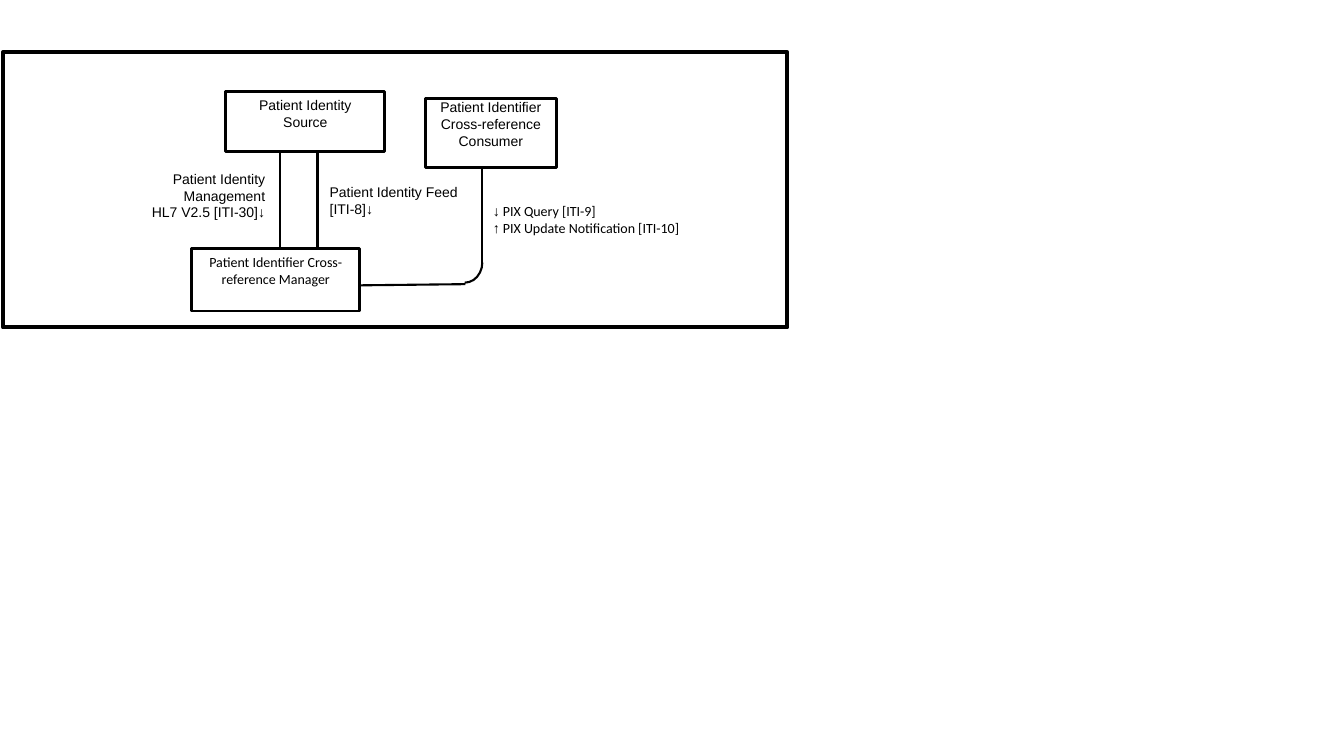
from dataclasses import dataclass
from itertools import groupby

from lxml.etree import SubElement
from pptx import Presentation
from pptx.dml.color import RGBColor
from pptx.enum.shapes import MSO_CONNECTOR, MSO_SHAPE
from pptx.enum.text import MSO_ANCHOR, PP_ALIGN
from pptx.oxml.ns import qn
from pptx.util import Cm, Pt


@dataclass(frozen=True)
class Theme:
    ink: RGBColor = RGBColor(0, 0, 0)
    paper: RGBColor = RGBColor(255, 255, 255)
    sans: str = "Arial"
    body: str = "Calibri"
    arrows: str = "Times New Roman"
    text_size: float = 10
    frame_line: float = 3
    actor_line: float = 2
    link_line: float = 1.5


THEME = Theme()


def write_text(frame, text, *, font=THEME.sans, align=PP_ALIGN.LEFT, inset=None):
    """Fill a text frame, one paragraph a line; arrows take their own font."""
    frame.word_wrap = True
    frame.vertical_anchor = MSO_ANCHOR.TOP
    if inset is not None:
        frame.margin_left = frame.margin_right = Cm(inset)
        frame.margin_top = frame.margin_bottom = Cm(inset)
    for index, line in enumerate(text.split("\n")):
        paragraph = frame.add_paragraph() if index else frame.paragraphs[0]
        paragraph.alignment = align
        for is_arrow, letters in groupby(line, key=lambda letter: letter in "↓↑"):
            run = paragraph.add_run()
            run.text = "".join(letters)
            run.font.name = THEME.arrows if is_arrow else font
            run.font.size = Pt(THEME.text_size)
            run.font.color.rgb = THEME.ink


class ActorDiagram:
    def __init__(self, slide, theme):
        self.shapes = slide.shapes
        self.theme = theme

    def outline(self, preset, box, weight, filled=False):
        shape = self.shapes.add_shape(preset, *map(Cm, box))
        shape.shadow.inherit = False
        if filled:
            shape.fill.solid()
            shape.fill.fore_color.rgb = self.theme.paper
        else:
            shape.fill.background()
        shape.line.color.rgb = self.theme.ink
        shape.line.width = Pt(weight)
        return shape

    def actor(self, text, box, **style):
        shape = self.outline(MSO_SHAPE.RECTANGLE, box, self.theme.actor_line, filled=True)
        write_text(shape.text_frame, text, align=PP_ALIGN.CENTER, **style)

    def label(self, text, box, **style):
        label = self.shapes.add_textbox(*map(Cm, box))
        write_text(label.text_frame, text, inset=0, **style)

    def link(self, start, end):
        link = self.shapes.add_connector(MSO_CONNECTOR.STRAIGHT, *map(Cm, start + end))
        link.line.color.rgb = self.theme.ink
        link.line.width = Pt(self.theme.link_line)
        SubElement(link._element.spPr, qn("a:effectLst"))

    def bend(self, box):
        arc = self.outline(MSO_SHAPE.ARC, box, self.theme.link_line)
        arc.rotation = 90


def main():
    presentation = Presentation()
    presentation.slide_width, presentation.slide_height = Cm(33.87), Cm(19.05)
    slide = presentation.slides.add_slide(presentation.slide_layouts[6])
    diagram = ActorDiagram(slide, THEME)

    # Frame around the diagram
    diagram.outline(MSO_SHAPE.RECTANGLE, (0.08, 1.32, 19.76, 6.93), THEME.frame_line)

    # Identity feed, partly behind the actors
    diagram.link((8, 3.63), (8, 6.78))

    # Transaction labels
    diagram.label("Patient Identity Feed [ITI-8]↓", (8.31, 4.62, 3.3, 1.27))
    diagram.label("↓ PIX Query [ITI-9]\n↑ PIX Update Notification [ITI-10]",
                  (12.42, 5.11, 5.46, 1.37), font=THEME.body)
    diagram.label("Patient Identity Management\nHL7 V2.5 [ITI-30]↓",
                  (3.38, 4.29, 3.3, 1.65), align=PP_ALIGN.RIGHT)

    # Actors
    diagram.actor("Patient Identity Source", (5.69, 2.31, 4.01, 1.5))
    diagram.actor("Patient Identifier Cross-reference Consumer",
                  (10.72, 2.49, 3.3, 1.73), inset=0)
    diagram.actor("Patient Identifier Cross-reference Manager",
                  (4.83, 6.27, 4.24, 1.57), font=THEME.body)

    # Identity management, then the rounded path from consumer to manager
    diagram.link((7.06, 3.84), (7.06, 6.27))
    diagram.link((12.14, 4.24), (12.14, 6.68))
    diagram.link((9.07, 7.19), (11.73, 7.16))
    diagram.bend((11.2, 6.17, 1.02, 0.89))

    presentation.save("out.pptx")


if __name__ == "__main__":
    main()
